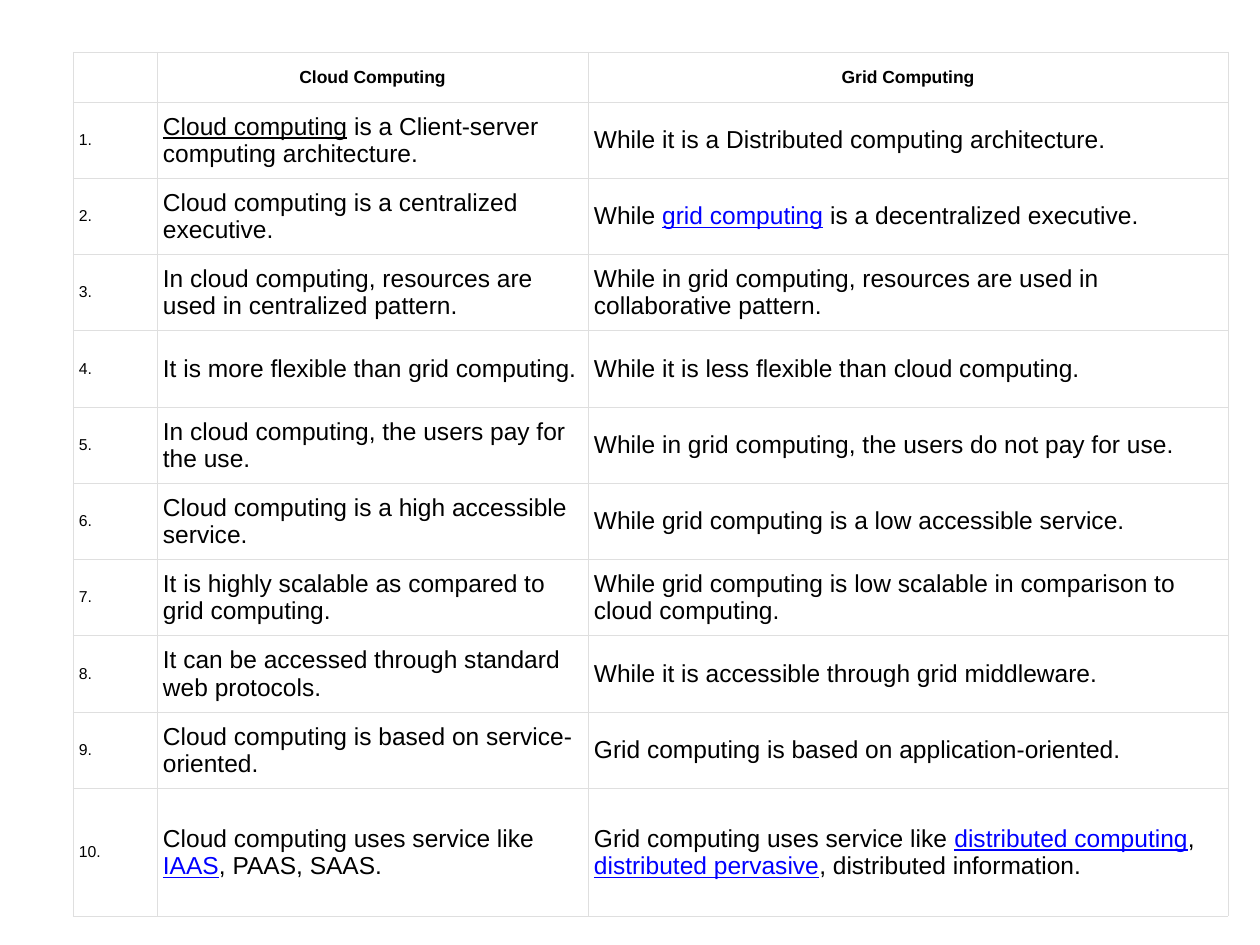
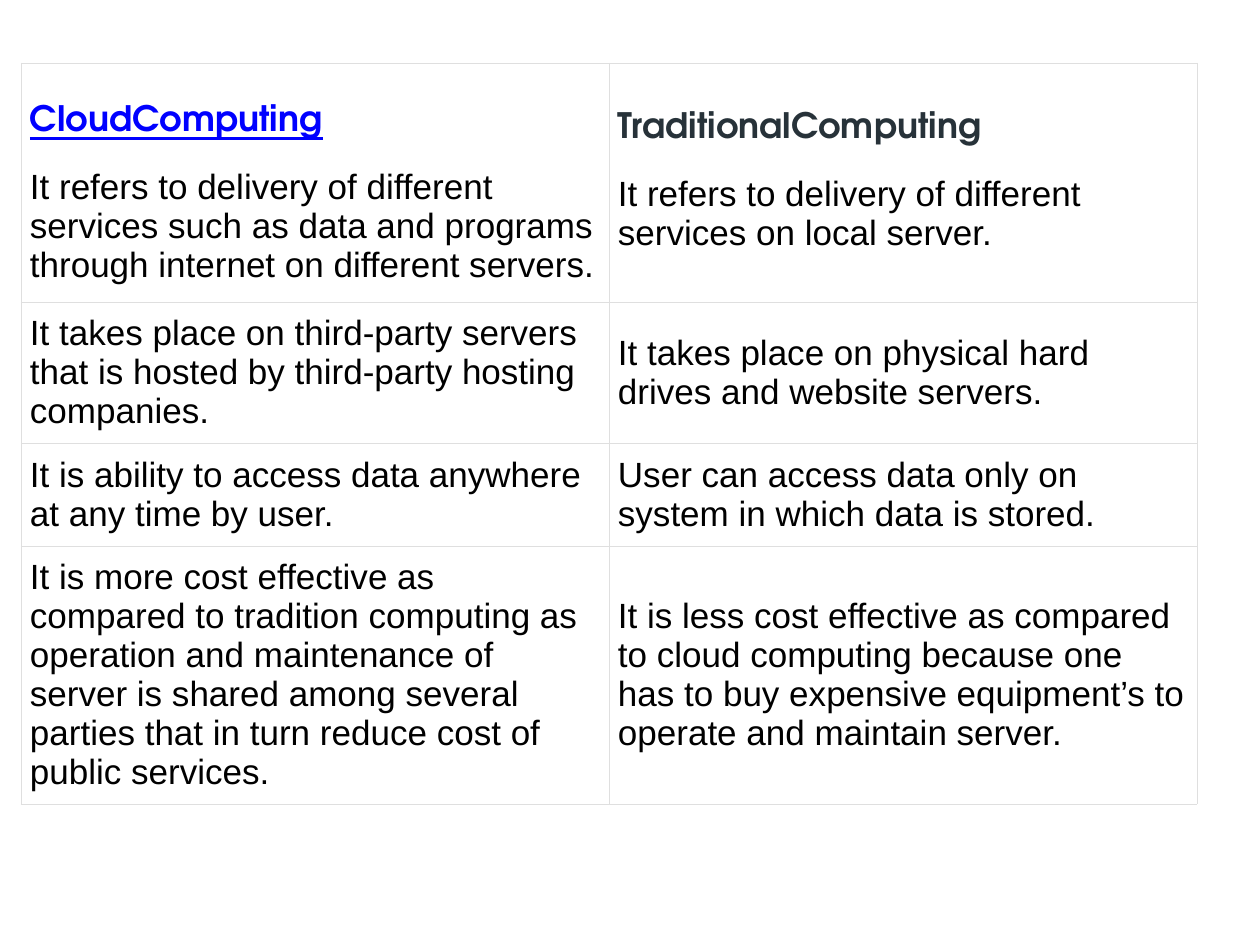
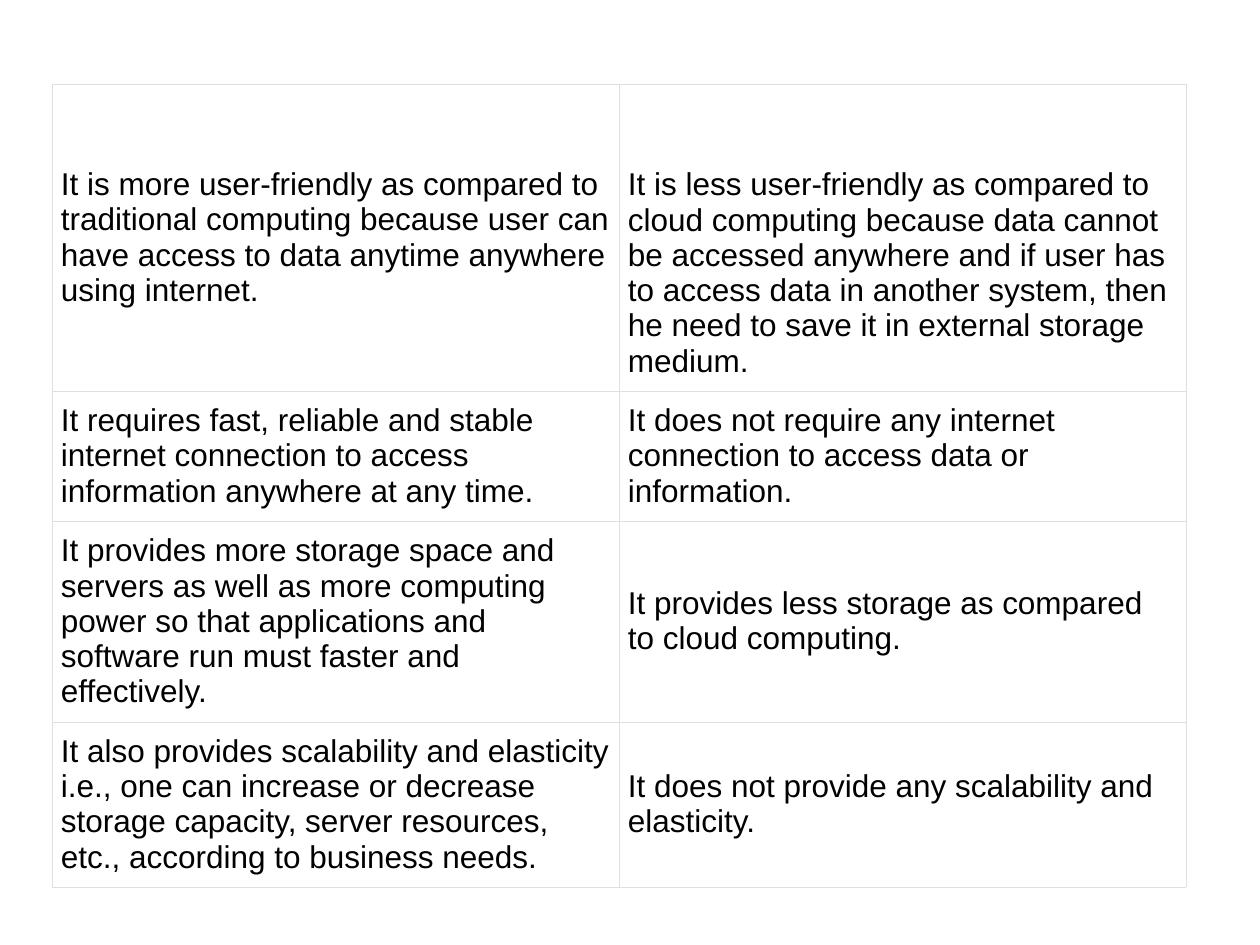
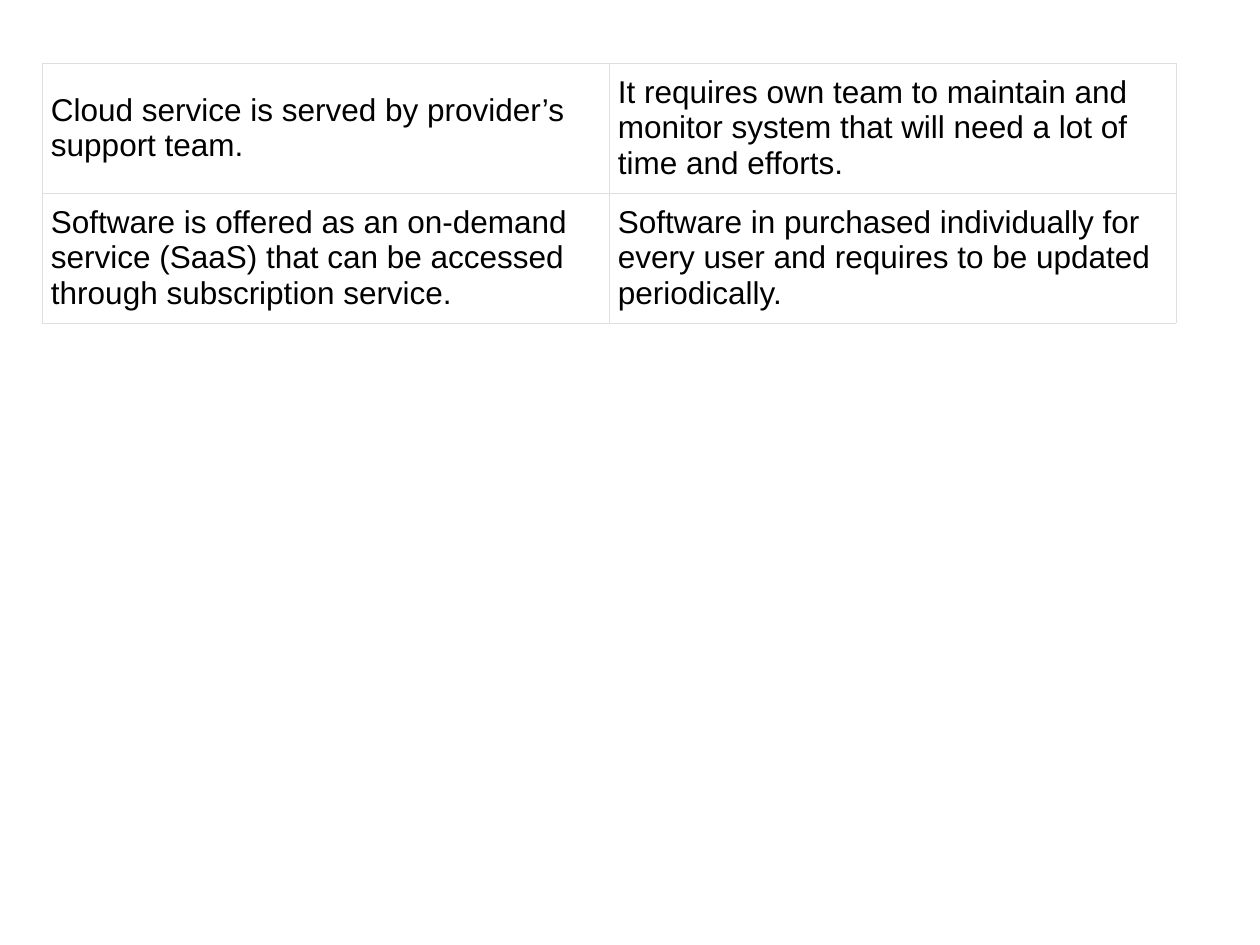
import lxml.etree
import pptx
import pptx.dml.color
import pptx.enum.text
import pptx.oxml.ns
import pptx.util

PX = 914400 // 126
BODY_FONT = "Arial"
TITLE_FONT = "TeX Gyre Adventor"
BLACK, WHITE, BORDER, BLUE, SLATE = "000000", "FFFFFF", "DFDFDF", "0000FF", "273239"
LINK = {"color": BLUE, "underline": True}
MIDDLE = pptx.enum.text.MSO_ANCHOR.MIDDLE
CENTER = pptx.enum.text.PP_ALIGN.CENTER

COMPARISON = [
    ([("Cloud computing", {"underline": True}), " is a Client-server computing architecture."],
     "While it is a Distributed computing architecture."),
    ("Cloud computing is a centralized executive.",
     ["While ", ("grid computing", LINK), " is a decentralized executive."]),
    ("In cloud computing, resources are used in centralized pattern.",
     "While in grid computing, resources are used in collaborative pattern."),
    ("It is more flexible than grid computing.",
     "While it is less flexible than cloud computing."),
    ("In cloud computing, the users pay for the use.",
     "While in grid computing, the users do not pay for use."),
    ("Cloud computing is a high accessible service.",
     "While grid computing is a low accessible service."),
    ("It is highly scalable as compared to grid computing.",
     "While grid computing is low scalable in comparison to cloud computing."),
    ("It can be accessed through standard web protocols.",
     "While it is accessible through grid middleware."),
    ("Cloud computing is based on service-oriented.",
     "Grid computing is based on application-oriented."),
    (["Cloud computing uses service like ", ("IAAS", LINK), ", PAAS, SAAS."],
     ["Grid computing uses service like ", ("distributed computing", LINK), ", ",
      ("distributed pervasive", LINK), ", distributed information."]),
]

DELIVERY = [
    ("It refers to delivery of different services such as data and programs through internet "
     "on different servers.",
     "It refers to delivery of different services on local server."),
    ("It takes place on third-party servers that is hosted by third-party hosting companies.",
     "It takes place on physical hard drives and website servers."),
    ("It is ability to access data anywhere at any time by user.",
     "User can access data only on system in which data is stored."),
    ("It is more cost effective as compared to tradition computing as operation and maintenance "
     "of server is shared among several parties that in turn reduce cost of public services.",
     "It is less cost effective as compared to cloud computing because one has to buy expensive "
     "equipment’s to operate and maintain server."),
]

USABILITY = [
    ("It is more user-friendly as compared to traditional computing because user can have access "
     "to data anytime anywhere using internet.",
     "It is less user-friendly as compared to cloud computing because data cannot be accessed "
     "anywhere and if user has to access data in another system, then he need to save it in "
     "external storage medium."),
    ("It requires fast, reliable and stable internet connection to access information anywhere "
     "at any time.",
     "It does not require any internet connection to access data or information."),
    ("It provides more storage space and servers as well as more computing power so that "
     "applications and software run must faster and effectively.",
     "It provides less storage as compared to cloud computing."),
    ("It also provides scalability and elasticity i.e., one can increase or decrease storage "
     "capacity, server resources, etc., according to business needs.",
     "It does not provide any scalability and elasticity."),
]

SUPPORT = [
    ("Cloud service is served by provider’s support team.",
     "It requires own team to maintain and monitor system that will need a lot of time and "
     "efforts."),
    ("Software is offered as an on-demand service (SaaS) that can be accessed through "
     "subscription service.",
     "Software in purchased individually for every user and requires to be updated "
     "periodically."),
]


def px(n):
    return pptx.util.Emu(n * PX)


def rgb(color):
    return pptx.dml.color.RGBColor.from_string(color)


def add_run(p, text, size, font=BODY_FONT, color=BLACK, bold=False, underline=False):
    r = p.add_run()
    r.text = text
    r.font.size = pptx.util.Pt(size)
    r.font.name = font
    r.font.color.rgb = rgb(color)
    r.font.bold = bold
    r.font.underline = underline


def write(p, text, align=None, **fmt):
    p.alignment = align
    for part in [text] if isinstance(text, str) else text:
        words, extra = (part, {}) if isinstance(part, str) else part
        add_run(p, words, **{**fmt, **extra})


def set_borders(cell):
    tc_pr = cell._tc.get_or_add_tcPr()
    qn = pptx.oxml.ns.qn
    for i, side in enumerate(("a:lnL", "a:lnR", "a:lnT", "a:lnB")):
        ln = lxml.etree.Element(qn(side), w="1905")
        fill = lxml.etree.SubElement(ln, qn("a:solidFill"))
        lxml.etree.SubElement(fill, qn("a:srgbClr"), val=BORDER)
        tc_pr.insert(i, ln)


def set_margins(cell, across, down):
    cell.margin_left = cell.margin_right = px(across)
    cell.margin_top = cell.margin_bottom = px(down)


def add_table(prs, left, top, widths, heights, margins):
    s = prs.slides.add_slide(prs.slide_layouts[6])
    frame = s.shapes.add_table(len(heights), len(widths), px(left), px(top),
                               px(sum(widths)), px(sum(heights)))
    table = frame.table
    table.first_row = table.horz_banding = False
    for column, width in zip(table.columns, widths):
        column.width = px(width)
    for row, height in zip(table.rows, heights):
        row.height = px(height)
    for cell in table.iter_cells():
        cell.fill.solid()
        cell.fill.fore_color.rgb = rgb(WHITE)
        cell.vertical_anchor = MIDDLE
        set_margins(cell, *margins)
        set_borders(cell)
    return table


def fill_rows(table, rows, size, first_row=0, first_col=0):
    for i, row in enumerate(rows, first_row):
        for j, text in enumerate(row, first_col):
            write(table.cell(i, j).text_frame.paragraphs[0], text, size=size)


def add_two_columns(prs, left, top, width, heights, rows, size):
    table = add_table(prs, left, top, [width] * 2, heights, (9, 12))
    fill_rows(table, rows, size)
    return table


def add_heading(cell, heading, body, **fmt):
    tf = cell.text_frame
    tf.clear()
    write(tf.paragraphs[0], heading, size=20, font=TITLE_FONT, bold=True, **fmt)
    p = tf.add_paragraph()
    p.space_before = pptx.util.Pt(17)
    write(p, body, size=20)


def add_cloud_vs_grid(prs):
    heights = [47] + [76, 76, 76, 77] * 2 + [76, 128]
    table = add_table(prs, 73, 52, [84, 431, 640], heights, (6, 9))
    for j, heading in enumerate(("", "Cloud Computing", "Grid Computing")):
        cell = table.cell(0, j)
        set_margins(cell, 6, 6)
        if heading:
            write(cell.text_frame.paragraphs[0], heading, size=10, bold=True, align=CENTER)
    numbers = [(f"{n}.",) for n in range(1, len(COMPARISON) + 1)]
    fill_rows(table, numbers, 9, first_row=1)
    fill_rows(table, COMPARISON, 14, first_row=1, first_col=1)


def add_cloud_vs_traditional(prs):
    table = add_two_columns(prs, 21, 63, 588, [239, 141, 103, 219], DELIVERY, 20)
    cloud, traditional = table.cell(0, 0), table.cell(0, 1)
    add_heading(cloud, "CloudComputing", DELIVERY[0][0], **LINK)
    add_heading(traditional, "TraditionalComputing", DELIVERY[0][1], color=SLATE)
    cloud.margin_top = px(38)


def add_usability(prs):
    table = add_two_columns(prs, 52, 84, 567, [307, 130, 201, 165], USABILITY, 18)
    table.cell(0, 1).margin_top = px(83)


def main():
    prs = pptx.Presentation()
    prs.slide_width, prs.slide_height = px(1260), px(945)
    add_cloud_vs_grid(prs)
    add_cloud_vs_traditional(prs)
    add_usability(prs)
    add_two_columns(prs, 42, 63, 567, [130, 130], SUPPORT, 18)
    prs.save("out.pptx")


if __name__ == "__main__":
    main()
